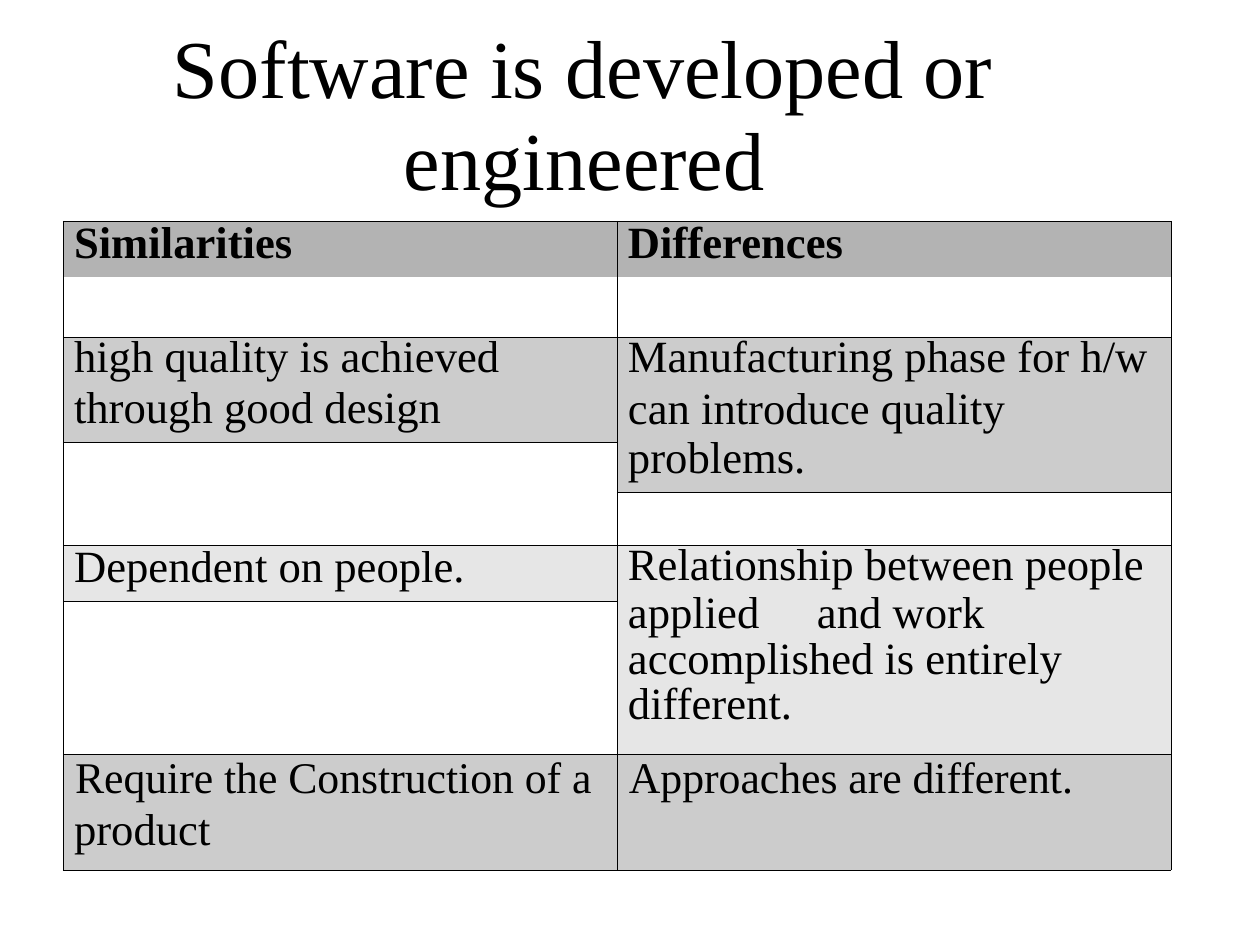
from dataclasses import dataclass
from typing import NamedTuple

from lxml.etree import SubElement
from pptx import Presentation
from pptx.dml.color import RGBColor
from pptx.enum.text import MSO_ANCHOR
from pptx.oxml.ns import qn
from pptx.util import Emu, Pt

EMU_PER_PX = 914400 / 126


@dataclass(frozen=True)
class Theme:
    font: str = "Times New Roman"
    ink: str = "000000"
    header: str = "B3B3B3"
    dark: str = "CCCCCC"
    light: str = "E6E6E6"
    title_pt: float = 47
    body_pt: float = 25.5
    last_pt: float = 25
    border_pt: float = 0.25


class Para(NamedTuple):
    text: str
    spacing: float
    before: float = 0
    size: float = 25.5
    bold: bool = False
    margin: int = 11
    indent: int = 0
    tab: int = 0


class Cell(NamedTuple):
    row: int
    col: int
    paras: tuple[Para, ...] = ()
    fill: str = ""
    rows: int = 1
    sides: str = "LRTB"


THEME = Theme()
ROWS = (56, 60, 105, 50, 53, 56, 153, 116)
COLS = (554, 554)

TITLE = Para("Software is developed or engineered", 52.2, 6.4,
             THEME.title_pt, margin=338, indent=-231)

CELLS = (
    Cell(0, 0, (Para("Similarities", 27.2, bold=True),), THEME.header, sides="LRT"),
    Cell(0, 1, (Para("Differences", 27.2, bold=True),), THEME.header, sides="LRT"),
    Cell(1, 0, sides="LRB"),
    Cell(1, 1, sides="LRB"),
    Cell(2, 0, (Para("high quality is achieved", 25.9),
                Para("through good design", 29.3)), THEME.dark),
    Cell(2, 1, (Para("Manufacturing phase for h/w", 25.9),
                Para("can introduce quality problems.", 28, 1.8)), THEME.dark, 2),
    Cell(3, 0, rows=2),
    Cell(4, 1),
    Cell(5, 0, (Para("Dependent on people.", 27.2),), THEME.light),
    Cell(5, 1, (Para("Relationship between people", 25.9),
                Para("applied\tand work accomplished is entirely different.",
                     0.92, 1.2, tab=164)), THEME.light, 2),
    Cell(6, 0),
    Cell(7, 0, (Para("Require the Construction of a", 28, size=THEME.last_pt, margin=12),
                Para("product", 30.2)), THEME.dark),
    Cell(7, 1, (Para("Approaches are different.", 28.4, size=THEME.last_pt, margin=12),),
         THEME.dark),
)


def px(n: int) -> Emu:
    return Emu(round(n * EMU_PER_PX))


def assign(obj, values: dict) -> None:
    for name, value in values.items():
        setattr(obj, name, value)


def write(tf, paras: tuple[Para, ...]) -> None:
    for i, para in enumerate(paras):
        p = tf.add_paragraph() if i else tf.paragraphs[0]
        exact = para.spacing > 2
        assign(p, {"line_spacing": Pt(para.spacing) if exact else para.spacing,
                   "space_before": Pt(para.before)})
        pPr = p._p.get_or_add_pPr()
        pPr.set("marL", str(px(para.margin)))
        pPr.set("indent", str(px(para.indent)))
        if para.tab:
            tabs = SubElement(pPr, qn("a:tabLst"))
            SubElement(tabs, qn("a:tab"), pos=str(px(para.tab)), algn="l")
        r = p.add_run()
        r.text = para.text
        assign(r.font, {"name": THEME.font, "size": Pt(para.size), "bold": para.bold})
        r.font.color.rgb = RGBColor.from_string(THEME.ink)


def add_border(tcPr, side: str, visible: bool) -> None:
    ln = SubElement(tcPr, qn(f"a:ln{side}"), w=str(Pt(THEME.border_pt)))
    if visible:
        fill = SubElement(ln, qn("a:solidFill"))
        SubElement(fill, qn("a:srgbClr"), val=THEME.ink)
    else:
        SubElement(ln, qn("a:noFill"))


def draw_cell(table, item: Cell) -> None:
    cell = table.cell(item.row, item.col)
    if item.rows > 1:
        cell.merge(table.cell(item.row + item.rows - 1, item.col))
    assign(cell, {"margin_left": 0, "margin_right": 0, "margin_top": 0,
                  "margin_bottom": 0, "vertical_anchor": MSO_ANCHOR.TOP})
    tcPr = cell._tc.get_or_add_tcPr()
    for side in "LRTB":
        add_border(tcPr, side, side in item.sides)
    if item.fill:
        cell.fill.solid()
        cell.fill.fore_color.rgb = RGBColor.from_string(item.fill)
    else:
        cell.fill.background()
    write(cell.text_frame, item.paras)


def draw_table(s) -> None:
    table = s.shapes.add_table(len(ROWS), len(COLS), px(63), px(221),
                               px(sum(COLS)), px(sum(ROWS))).table
    assign(table, {"first_row": False, "horz_banding": False})
    for row, height in zip(table.rows, ROWS):
        row.height = px(height)
    for col, width in zip(table.columns, COLS):
        col.width = px(width)
    for row in table.rows:
        for cell in row.cells:
            cell.fill.background()
    for item in CELLS:
        tcPr = table.cell(item.row, item.col)._tc.get_or_add_tcPr()
        for child in list(tcPr):
            tcPr.remove(child)
        draw_cell(table, item)


def draw_title(s) -> None:
    tf = s.shapes.add_textbox(px(66), px(13), px(1129), px(194)).text_frame
    assign(tf, {"word_wrap": True, "margin_left": 0, "margin_right": 0,
                "margin_top": px(11), "margin_bottom": 0,
                "vertical_anchor": MSO_ANCHOR.TOP})
    write(tf, (TITLE,))


def main() -> None:
    prs = Presentation()
    assign(prs, {"slide_width": px(1260), "slide_height": px(945)})
    s = prs.slides.add_slide(prs.slide_layouts[6])
    draw_table(s)
    draw_title(s)
    prs.save("out.pptx")


if __name__ == "__main__":
    main()
